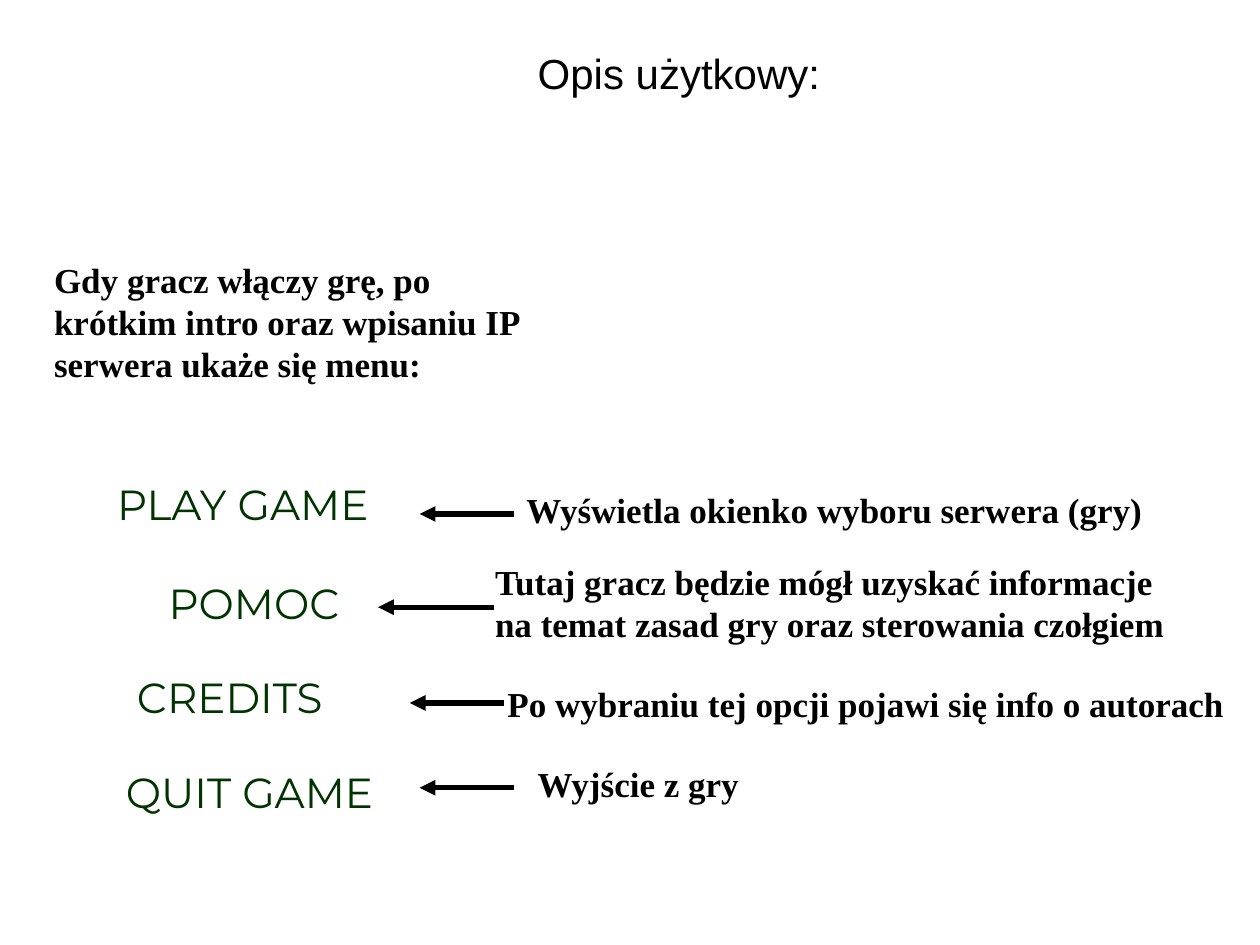
from dataclasses import dataclass

from lxml.etree import SubElement
from pptx import Presentation
from pptx.dml.color import RGBColor
from pptx.enum.shapes import MSO_CONNECTOR
from pptx.enum.text import MSO_AUTO_SIZE
from pptx.oxml.ns import qn
from pptx.slide import Slide
from pptx.text.text import Font
from pptx.util import Cm, Pt

HUES = {"ink": "000000", "green": "003300"}


@dataclass
class Label:
    text: str
    left: float
    top: float
    width: float
    height: float


@dataclass
class Arrow:
    start: float
    end: float
    y: float


TITLE = Label("Opis użytkowy:", 10.59, 0.84, 10.82, 2.54)

ITEMS = [
    Label("PLAY GAME", 2.11, 9.53, 5.92, 1.47),
    Label("POMOC", 3.15, 11.51, 4.01, 1.27),
    Label("CREDITS", 2.51, 13.41, 5.28, 1.27),
    Label("QUIT GAME", 2.29, 15.32, 5.72, 1.27),
]

NOTES = [
    Label("Gdy gracz włączy grę, po krótkim intro oraz wpisaniu IP "
          "serwera ukaże się menu:", 0.84, 5.08, 9.96, 2.79),
    Label("Wyświetla okienko wyboru serwera (gry)", 10.36, 9.73, 13.54, 1.12),
    Label("Tutaj gracz będzie mógł uzyskać informacje na temat zasad gry "
          "oraz sterowania czołgiem", 9.73, 11.18, 14.6, 1.96),
    Label("Po wybraniu tej opcji pojawi się info o autorach",
          9.98, 13.64, 15.24, 1.12),
    Label("Wyjście z gry", 10.59, 15.24, 6.15, 1.12),
]

ARROWS = [
    Arrow(10.36, 8.46, 10.36),
    Arrow(9.96, 7.62, 12.24),
    Arrow(10.16, 8.26, 14.17),
    Arrow(10.36, 8.46, 15.88),
]


def hue(name: str) -> RGBColor:
    return RGBColor.from_string(HUES[name])


def add_label(slide: Slide, label: Label, face: str, size: int,
              wrap: bool = False) -> Font:
    box = slide.shapes.add_textbox(
        Cm(label.left), Cm(label.top), Cm(label.width), Cm(label.height))
    frame = box.text_frame
    frame.text = label.text
    frame.word_wrap = wrap
    if wrap:
        frame.auto_size = MSO_AUTO_SIZE.SHAPE_TO_FIT_TEXT
        frame.paragraphs[0].space_before = Pt(12.5)
    font = frame.paragraphs[0].runs[0].font
    font.name = face
    font.size = Pt(size)
    font.color.rgb = hue("ink")
    return font


def add_item(slide: Slide, label: Label) -> None:
    fill = add_label(slide, label, "Montserrat", 24).fill
    fill.gradient()
    fill.gradient_angle = 270
    for stop, name in zip(fill.gradient_stops, ("green", "ink")):
        stop.color.rgb = hue(name)


def add_note(slide: Slide, label: Label) -> None:
    add_label(slide, label, "Times New Roman", 20, True).bold = True


def add_arrow(slide: Slide, arrow: Arrow) -> None:
    link = slide.shapes.add_connector(
        MSO_CONNECTOR.STRAIGHT, Cm(arrow.start), Cm(arrow.y),
        Cm(arrow.end), Cm(arrow.y))
    link.line.width = Pt(3)
    link.line.color.rgb = hue("ink")
    props = link._element.spPr
    SubElement(props.find(qn("a:ln")), qn("a:tailEnd"), type="triangle")
    SubElement(props, qn("a:effectLst"))


def main() -> None:
    deck = Presentation()
    deck.slide_width = Cm(25.4)
    deck.slide_height = Cm(19.05)
    slide = deck.slides.add_slide(deck.slide_layouts[6])
    add_label(slide, TITLE, "Arial", 24)
    for item in ITEMS:
        add_item(slide, item)
    for note in NOTES:
        add_note(slide, note)
    for arrow in ARROWS:
        add_arrow(slide, arrow)
    deck.save("out.pptx")


if __name__ == "__main__":
    main()
